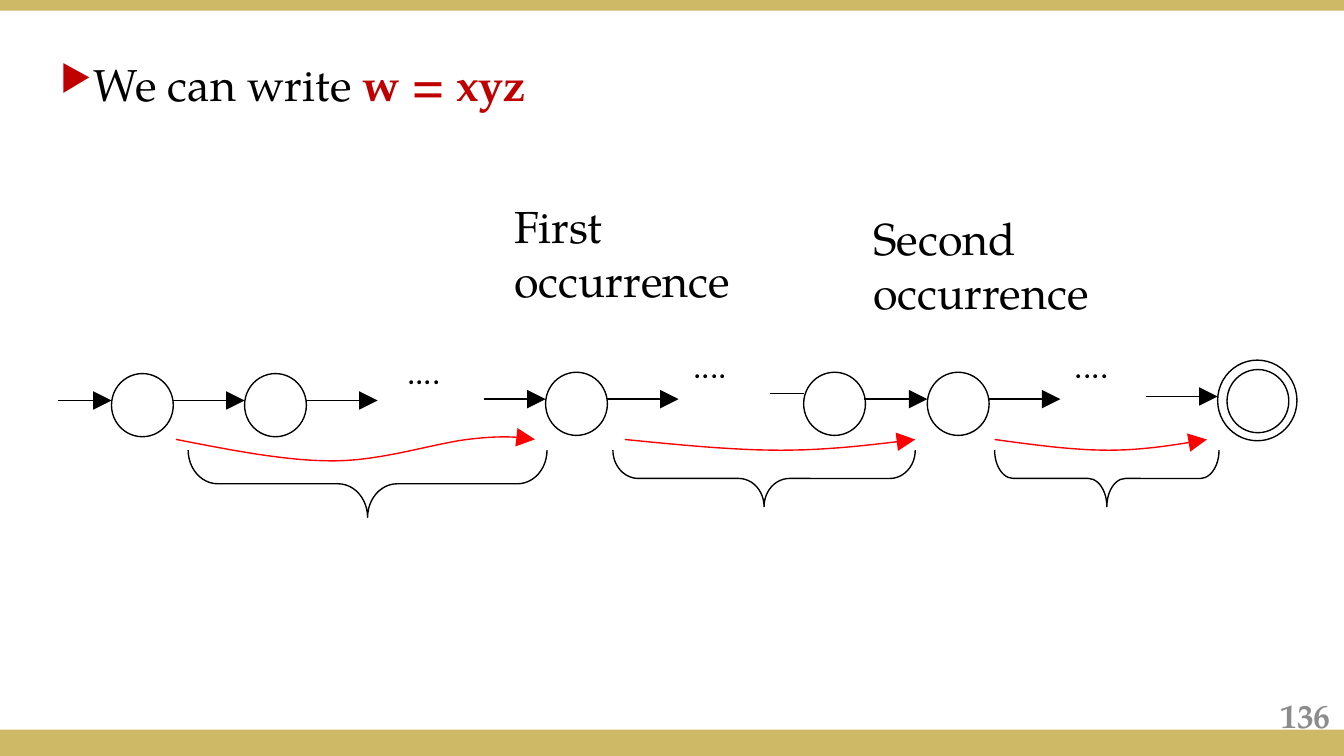
from lxml import etree
from pptx import Presentation
from pptx.dml.color import RGBColor
from pptx.enum.shapes import MSO_CONNECTOR, MSO_SHAPE
from pptx.enum.text import MSO_ANCHOR, PP_ALIGN
from pptx.oxml.ns import qn
from pptx.util import Inches, Pt

RECT, OVAL, BRACE = MSO_SHAPE.RECTANGLE, MSO_SHAPE.OVAL, MSO_SHAPE.RIGHT_BRACE
LINE = MSO_CONNECTOR.STRAIGHT
MIDDLE, RIGHT = MSO_ANCHOR.MIDDLE, PP_ALIGN.RIGHT
FONT, WIDE = "TeX Gyre Pagella", 10
HIGH = WIDE * 9 / 16
BLACK, RED, DARK, GOLD, GREY = "000000", "FF0000", "C00000", "CEB966", "8C8C8C"
SIZE, STEPS = (0.46, 0.47), 12

BARS = [(0, 0.08), (5.43, 0.2)]
HEAD = [[("We can write ", 24, BLACK, False), ("w = xyz", 24, DARK, True)]]
PAGE = [[("136", 18, GREY, True)]]
NOTES = [("First", 3.73, 1.43), ("Second", 6.4, 1.52)]
DOTS = [(2.93, 2.56), (5.06, 2.52), (7.9, 2.52)]
STATES = [(0.83, 2.78), (1.82, 2.78), (4.06, 2.77), (5.98, 2.77), (6.9, 2.77), (9.13, 2.75)]
FINAL = (9.06, 2.68, 0.59, 0.6)
MOVES = [
    (0.43, 0.83, 2.98, True), (1.29, 1.82, 2.98, True), (2.28, 2.81, 2.98, True),
    (3.6, 4.06, 2.97, True), (4.52, 5.05, 2.97, True), (5.73, 5.98, 2.93, False),
    (6.43, 6.9, 2.97, True), (7.36, 7.89, 2.97, True), (8.53, 9.06, 2.95, True),
]
SPANS = [(1.4, 2.67, 0.5, 0.44), (4.56, 2.25, 0.42, 0.45), (7.4, 1.67, 0.42, 0.33)]
PATHS = [
    [(1.31, 3.27), (1.72, 3.35), (2.12, 3.43), (2.48, 3.43), (2.84, 3.43),
     (3.23, 3.3), (3.48, 3.27), (3.73, 3.24), (3.85, 3.25), (3.98, 3.27)],
    [(4.65, 3.27), (5.05, 3.31), (5.45, 3.35), (5.81, 3.35), (6.17, 3.35), (6.49, 3.31), (6.81, 3.27)],
    [(7.4, 3.27), (7.69, 3.31), (7.98, 3.35), (8.25, 3.35), (8.51, 3.35), (8.75, 3.31), (8.98, 3.27)],
]


def tint(code):
    return RGBColor.from_string(code)


def stroke(shape, color, arrow=False):
    shape.line.color.rgb = tint(color)
    shape.line.width = Pt(0.75)
    if arrow:
        line = shape.line._get_or_add_ln()
        etree.SubElement(line, qn("a:tailEnd"), type="triangle", w="lg", len="lg")


def draw(slide, kind, *box, fill=None):
    shape = slide.shapes.add_shape(kind, *map(Inches, box))
    shape.shadow.inherit = False
    if fill:
        shape.fill.solid()
        shape.fill.fore_color.rgb = tint(fill)
        shape.line.fill.background()
    else:
        shape.fill.background()
        stroke(shape, BLACK)
    return shape


def write(slide, paras, *box, wrap=True):
    frame = slide.shapes.add_textbox(*map(Inches, box)).text_frame
    frame.word_wrap = wrap
    for i, runs in enumerate(paras):
        para = frame.add_paragraph() if i else frame.paragraphs[0]
        for text, size, color, bold in runs:
            run = para.add_run()
            run.text = text
            font = run.font
            font.name, font.size, font.bold = FONT, Pt(size), bold
            font.color.rgb = tint(color)
    return frame


def bullet(para, mark, color):
    props = para._p.get_or_add_pPr()
    props.set("marL", str(Inches(0.2)))
    props.set("indent", str(-Inches(0.2)))
    paint = etree.SubElement(props, qn("a:buClr"))
    etree.SubElement(paint, qn("a:srgbClr"), val=color)
    etree.SubElement(props, qn("a:buSzPct"), val="80000")
    etree.SubElement(props, qn("a:buChar"), char=mark)


def move(slide, start, end, y, arrow):
    line = slide.shapes.add_connector(LINE, *map(Inches, (start, y, end, y)))
    stroke(line, BLACK, arrow)
    etree.SubElement(line._element.spPr, qn("a:effectLst"))


def bend(a, b, c, d, t):
    u = 1 - t
    return tuple(u**3 * p + 3 * u * u * t * q + 3 * u * t * t * r + t**3 * s
                 for p, q, r, s in zip(a, b, c, d))


def curve(slide, knots):
    knots = [tuple(map(Inches, knot)) for knot in knots]
    spots = [bend(*knots[i:i + 4], n / STEPS)
             for i in range(0, len(knots) - 1, 3) for n in range(1, STEPS + 1)]
    build = slide.shapes.build_freeform(*knots[0])
    build.add_line_segments(spots, close=False)
    shape = build.convert_to_shape()
    shape.shadow.inherit = False
    shape.fill.background()
    stroke(shape, RED, True)


def brace(slide, left, width, depth, curl):
    top = 3.35 + (depth - width) / 2
    shape = draw(slide, BRACE, left + (width - depth) / 2, top, depth, width)
    shape.rotation = 90
    shape.adjustments[0] = curl
    shape.adjustments[1] = 0.5


def main():
    """Build the slide on splitting an accepted string into x, y and z."""
    deck = Presentation()
    deck.slide_width, deck.slide_height = Inches(WIDE), Inches(HIGH)
    slide = deck.slides.add_slide(deck.slide_layouts[6])
    for top, high in BARS:
        draw(slide, RECT, 0, top, WIDE, high, fill=GOLD)
    page = write(slide, PAGE, 7.67, 5.17, 2.33, 0.3)
    page.vertical_anchor = MIDDLE
    page.paragraphs[0].alignment = RIGHT
    head = write(slide, HEAD, 0.35, 0.37, 8.03, 0.5)
    bullet(head.paragraphs[0], "▶", DARK)
    for spot in STATES:
        draw(slide, OVAL, *spot, *SIZE)
    draw(slide, OVAL, *FINAL)
    for item in MOVES:
        move(slide, *item)
    for spot in DOTS:
        write(slide, [[("....", 18, BLACK, False)]], *spot, 0.79, 0.63)
    for word, left, top in NOTES:
        paras = [[(text, 24, BLACK, False)] for text in (word, "occurrence")]
        write(slide, paras, left, top, 2.06, 1.14, wrap=False)
    for span in SPANS:
        brace(slide, *span)
    for knots in PATHS:
        curve(slide, knots)
    deck.save("out.pptx")


if __name__ == "__main__":
    main()
